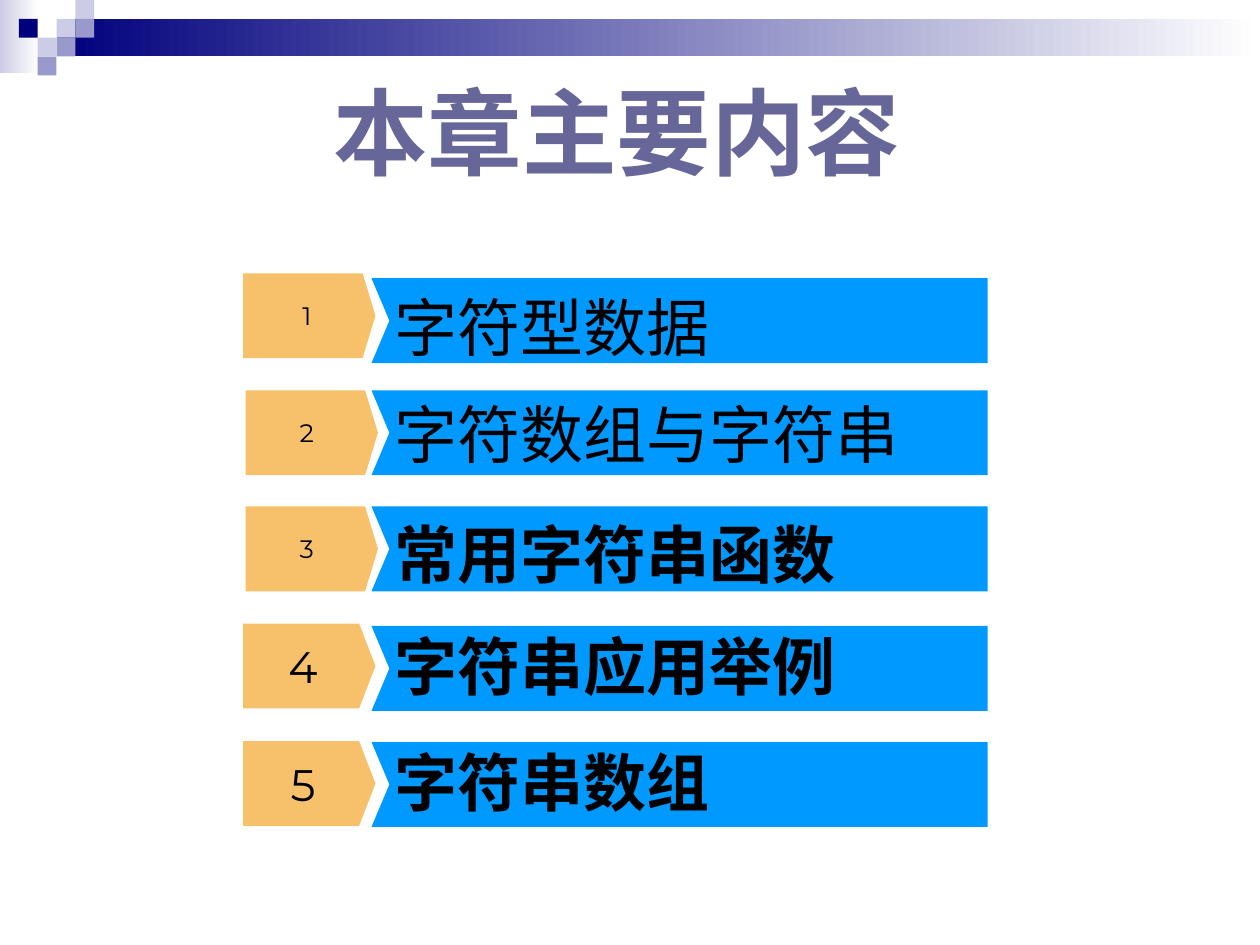
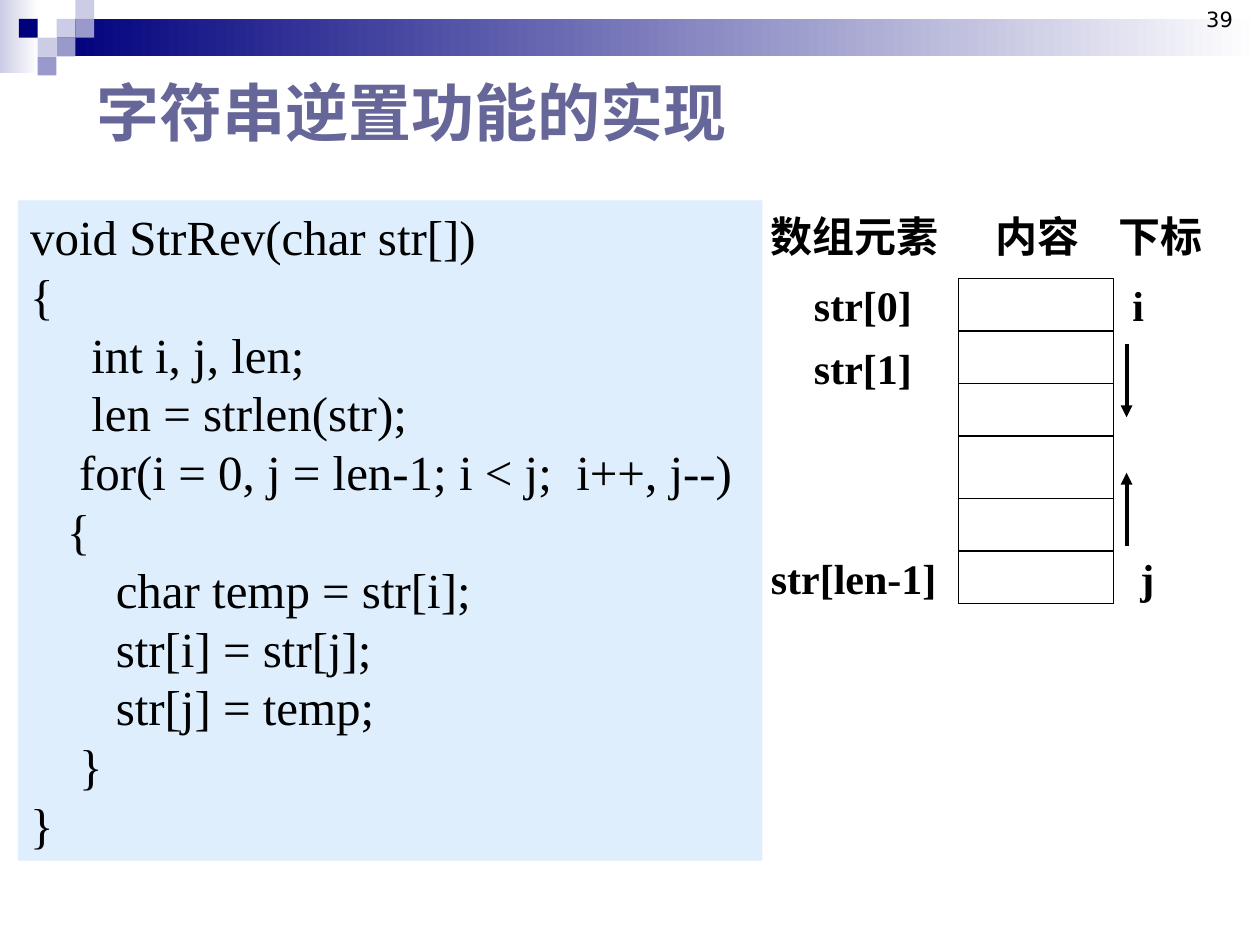
from itertools import accumulate

from lxml.etree import SubElement
from pptx import Presentation
from pptx.dml.color import RGBColor
from pptx.enum.shapes import MSO_CONNECTOR, MSO_SHAPE
from pptx.enum.text import MSO_ANCHOR, PP_ALIGN
from pptx.oxml.ns import qn
from pptx.util import Cm, Pt

COLORS = {
    "navy": "00007D",
    "lavender": "CCCCE6",
    "violet": "9999CC",
    "white": "FFFFFF",
    "title": "666699",
    "banner": "0099FF",
    "tag": "F6C16A",
    "code": "DFEEFD",
    "ink": "000000",
}
CJK = "Noto Sans CJK SC"
SERIF = "Times New Roman"
SANS = "Arial"

CHAPTERS = [
    ("字符型数据", SERIF, False, 5.61, 5.51, 5.69, 4.9),
    ("字符数组与字符串", SERIF, False, 7.87, 7.87, 7.85, 4.95),
    ("常用字符串函数", SANS, True, 10.21, 10.21, 10.26, 4.95),
    ("字符串应用举例", SANS, True, 12.62, 12.57, 12.52, 4.9),
    ("字符串数组", SANS, True, 14.96, 14.94, 14.86, 4.9),
]

STR_REV = """void StrRev(char str[])
{
     int i, j, len;
     len = strlen(str);
    for(i = 0, j = len-1; i < j;  i++, j--)
   {
       char temp = str[i];
       str[i] = str[j];
       str[j] = temp;
    }
}"""


def rgb(name):
    return RGBColor.from_string(COLORS[name])


def add_run(paragraph, text, size, font, color="ink", bold=False):
    run = paragraph.add_run()
    run.text = text
    run.font.size = Pt(size)
    run.font.name = font
    run.font.bold = bold
    run.font.color.rgb = rgb(color)
    SubElement(run.font._element, qn("a:ea"), typeface=CJK)
    return run


def add_text(slide, box, text, size, font, color="ink", bold=False,
             align=PP_ALIGN.LEFT, anchor=MSO_ANCHOR.MIDDLE, wrap=True):
    frame = slide.shapes.add_textbox(*map(Cm, box)).text_frame
    frame.margin_left = frame.margin_right = 0
    frame.margin_top = frame.margin_bottom = 0
    frame.word_wrap = wrap
    frame.vertical_anchor = anchor
    paragraph = frame.paragraphs[0]
    paragraph.alignment = align
    return add_run(paragraph, text, size, font, color, bold)


def paint(shape, color):
    shape.shadow.inherit = False
    shape.fill.solid()
    shape.fill.fore_color.rgb = rgb(color)
    shape.line.fill.background()


def add_rect(slide, box, color):
    rect = slide.shapes.add_shape(MSO_SHAPE.RECTANGLE, *map(Cm, box))
    paint(rect, color)
    return rect


def add_fade(slide, box, color):
    fill = add_rect(slide, box, color).fill
    fill.gradient()
    fill.gradient_angle = 0
    for stop, name, position in zip(fill.gradient_stops, (color, "white"), (0, 1)):
        stop.color.rgb = rgb(name)
        stop.position = position


def add_outline(slide, left, top, points, color):
    corners = [(Cm(left + x), Cm(top + y)) for x, y in points]
    builder = slide.shapes.build_freeform(*corners[0], scale=1.0)
    builder.add_line_segments(corners[1:], close=True)
    paint(builder.convert_to_shape(), color)


def add_line(slide, start, end, width, arrow=False):
    line = slide.shapes.add_connector(
        MSO_CONNECTOR.STRAIGHT, *map(Cm, (*start, *end)))
    line.line.color.rgb = rgb("ink")
    line.line.width = Pt(width)
    if arrow:
        SubElement(line.line._get_or_add_ln(), qn("a:tailEnd"), type="triangle")
    SubElement(line._element.spPr, qn("a:effectLst"))


def add_header_band(slide):
    add_fade(slide, (0, 0, 0.79, 1.47), "lavender")
    add_fade(slide, (1.14, 0.38, 24.26, 0.76), "navy")
    side = 0.38
    mosaic = {
        "lavender": [(1, 1), (2, 0), (0, 2)],
        "violet": [(2, 1), (1, 2), (0, 3)],
        "navy": [(-1, 1)],
    }
    for color, cells in mosaic.items():
        for column, row in cells:
            add_rect(slide, (0.76 + column * side, row * side, side, side), color)


def add_title(slide, box, text, size, font, align):
    add_text(slide, box, text, size, font, "title", True, align)


def add_number(slide, box, number, size):
    run = add_text(slide, box, number, size, "Montserrat", align=PP_ALIGN.CENTER)
    properties = run.font._element
    effects = SubElement(properties, qn("a:effectLst"))
    properties.find(qn("a:solidFill")).addnext(effects)
    shadow = SubElement(effects, qn("a:outerShdw"), dist="17961", dir="2700000")
    SubElement(shadow, qn("a:srgbClr"), val=COLORS["white"])


def add_chapter(slide, number, chapter):
    name, font, bold, banner_top, tag_top, name_top, tag_left = chapter
    height, banner_width, tag_width = 1.71, 12.42, 2.67
    large = number > 3
    shoulder = 2.34 if large else 2.41
    add_outline(slide, 7.49, banner_top,
                [(0, 0), (0.36, height / 2), (0, height),
                 (banner_width, height), (banner_width, 0)], "banner")
    add_outline(slide, tag_left, tag_top,
                [(0, 0), (shoulder, 0), (tag_width, height / 2),
                 (shoulder, height), (0, height)], "tag")
    add_number(slide, (5.13, tag_top, 1.96 if large else 2.11, height),
               str(number), 25.2 if large else 14.4)
    add_text(slide, (7.95, name_top, 11.5, 1.78), name, 36, font, bold=bold)


def build_contents(slide):
    add_header_band(slide)
    add_title(slide, (2.29, 1.72, 20.29, 1.83), "本章主要内容", 54, CJK, PP_ALIGN.CENTER)
    for number, chapter in enumerate(CHAPTERS, 1):
        add_chapter(slide, number, chapter)


def add_code(slide, box):
    panel = add_rect(slide, box, "code")
    frame = panel.text_frame
    frame.word_wrap = True
    frame.vertical_anchor = MSO_ANCHOR.TOP
    for index, code_line in enumerate(STR_REV.split("\n")):
        paragraph = frame.add_paragraph() if index else frame.paragraphs[0]
        paragraph.alignment = PP_ALIGN.LEFT
        paragraph.line_spacing = Pt(33.6)
        add_run(paragraph, code_line, 28, SERIF)


def add_array_diagram(slide, left, top):
    cell_left, cell_top, cell_width = left + 4.04, top + 1.5, 3.12
    heights = [1.06, 1.06, 1.06, 1.26, 1.06, 1.06]
    array = add_rect(slide, (cell_left, cell_top, cell_width, sum(heights)), "white")
    array.fill.background()
    array.line.color.rgb = rgb("ink")
    array.line.width = Pt(0.75)
    for offset in accumulate(heights[:-1]):
        y = cell_top + offset
        add_line(slide, (cell_left, y), (cell_left + cell_width, y), 0.75)
    labels = [
        ("数组元素", 0.25, 0.1), ("内容", 4.77, 0.1), ("下标", 7.26, 0.1),
        ("str[0]", 1.12, 1.5), ("i", 7.54, 1.5),
        ("str[1]", 1.12, 2.77),
        ("str[len-1]", 0.25, 7.01), ("j", 7.7, 7.01),
    ]
    for text, x, y in labels:
        add_text(slide, (left + x, top + y, 3.6, 1.07), text, 24, SERIF,
                 bold=True, wrap=False)
    arrow_x = left + 7.42
    for tail, tip in ((2.82, 4.3), (6.89, 5.42)):
        add_line(slide, (arrow_x, top + tail), (arrow_x, top + tip), 2.25, arrow=True)


def build_reversal(slide):
    add_header_band(slide)
    add_text(slide, (23.77, 0.13, 1.63, 0.96), "39", 12, "DejaVu Sans",
             align=PP_ALIGN.CENTER, anchor=MSO_ANCHOR.TOP)
    add_title(slide, (1.95, 1.46, 20.8, 1.57), "字符串逆置功能的实现", 36, SANS, PP_ALIGN.LEFT)
    add_array_diagram(slide, 15.29, 4.11)
    add_code(slide, (0.36, 4.04, 15.01, 13.31))


def main():
    deck = Presentation()
    deck.slide_width, deck.slide_height = Cm(25.4), Cm(19.05)
    for build in (build_contents, build_reversal):
        build(deck.slides.add_slide(deck.slide_layouts[6]))
    deck.save("out.pptx")


if __name__ == "__main__":
    main()
